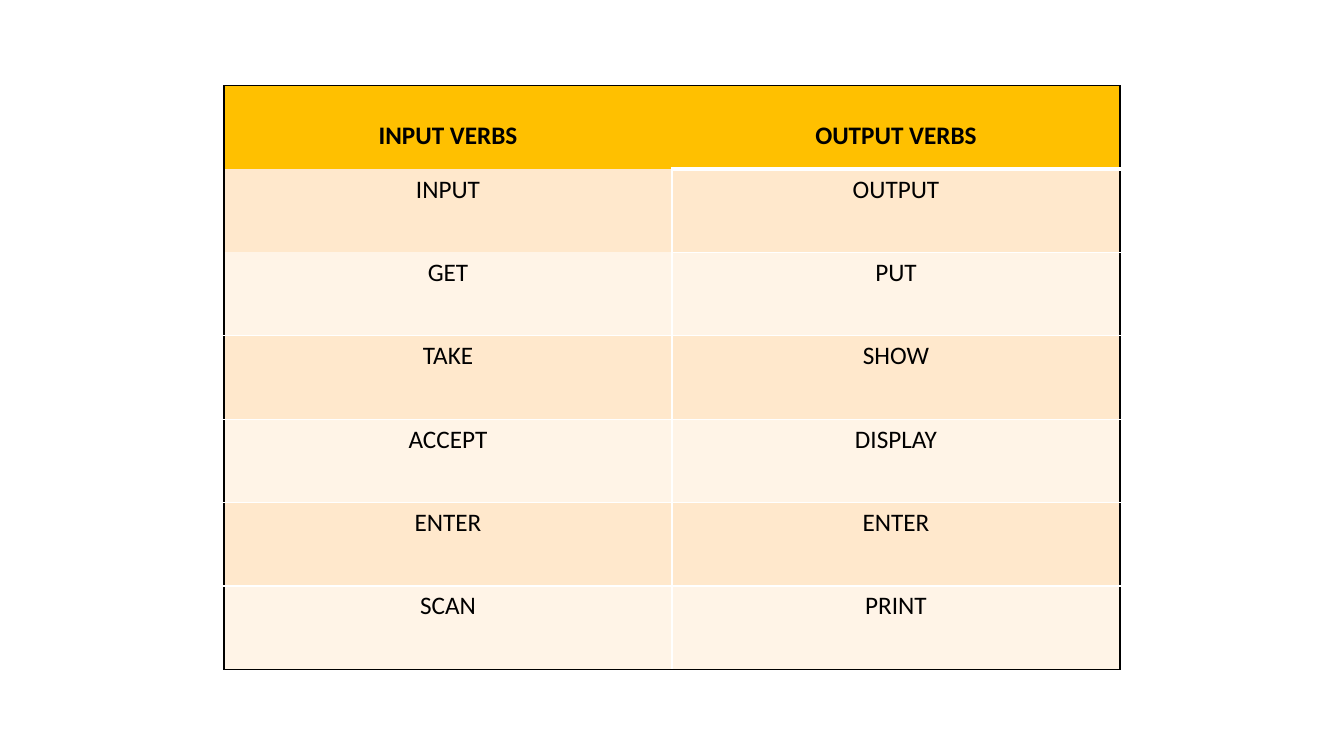
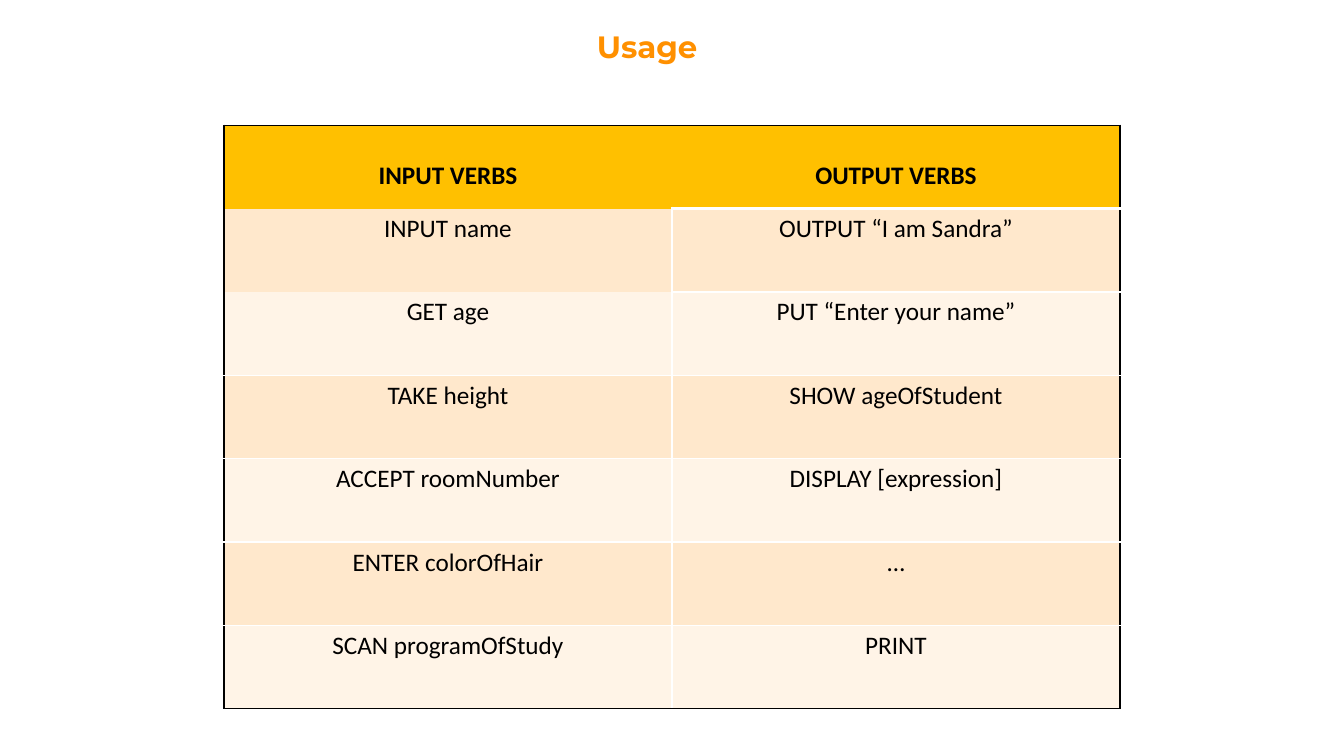
from lxml.etree import SubElement
from pptx import Presentation
from pptx.dml.color import RGBColor
from pptx.enum.text import MSO_AUTO_SIZE as AutoSize, PP_ALIGN as Align
from pptx.oxml.ns import qn
from pptx.util import Inches, Pt

COLORS = {
    "header": "FFC000",
    "odd_row": "FFE8CC",
    "even_row": "FFF4E7",
    "text": "000000",
    "frame": "000000",
    "rule": "FFFFFF",
    "title": "FF9000",
}
GRID_COLUMNS, GRID_ROWS = 12, 18
HEADINGS = ("INPUT VERBS", "OUTPUT VERBS")
VERBS = [
    ("INPUT", "OUTPUT"),
    ("GET", "PUT"),
    ("TAKE", "SHOW"),
    ("ACCEPT", "DISPLAY"),
    ("ENTER", "ENTER"),
    ("SCAN", "PRINT"),
]
USAGE = [
    ("INPUT name", "OUTPUT “I am Sandra”"),
    ("GET age", "PUT “Enter your name”"),
    ("TAKE height", "SHOW ageOfStudent"),
    ("ACCEPT roomNumber", "DISPLAY [expression]"),
    ("ENTER colorOfHair", "…"),
    ("SCAN programOfStudy", "PRINT"),
]


def color(name):
    return RGBColor.from_string(COLORS[name])


def horizontal_rule(row, column):
    """Return the (color, points) of the line above a body row, or None."""
    if column == 0 and row <= 2:
        return None
    return ("rule", 3 if row == 1 else 1)


def cell_borders(row, column, last_row, last_column):
    """Map each edge tag of a cell to (color, points), or None for no line."""
    frame = ("frame", 1)
    divider = ("rule", 1) if row else None
    return {
        "a:lnL": divider if column else frame,
        "a:lnR": frame if column == last_column else divider,
        "a:lnT": horizontal_rule(row, column) if row else frame,
        "a:lnB": frame if row == last_row else horizontal_rule(row + 1, column),
    }


def draw_borders(cell, borders):
    properties = cell._tc.get_or_add_tcPr()
    for tag, border in borders.items():
        line = SubElement(properties, qn(tag))
        if border is None:
            SubElement(line, qn("a:noFill"))
            continue
        name, points = border
        line.set("w", str(Pt(points)))
        fill = SubElement(line, qn("a:solidFill"))
        SubElement(fill, qn("a:srgbClr")).set("val", COLORS[name])


class Deck:
    def __init__(self):
        self.presentation = Presentation()
        self.presentation.slide_width = Inches(13.33)
        self.presentation.slide_height = Inches(7.5)
        self.slide = None

    def add_slide(self):
        blank = self.presentation.slide_layouts[6]
        self.slide = self.presentation.slides.add_slide(blank)

    def place(self, left, top, width, height):
        """Turn grid columns and rows into slide lengths."""
        column = self.presentation.slide_width / GRID_COLUMNS
        row = self.presentation.slide_height / GRID_ROWS
        return (int(left * column), int(top * row),
                int(width * column), int(height * row))

    def style(self, paragraph, font_name, size, color_name, bold):
        for run in paragraph.runs:
            run.font.name = font_name
            run.font.size = Pt(size)
            run.font.bold = bold
            run.font.color.rgb = color(color_name)

    def add_title(self, text):
        box = self.slide.shapes.add_textbox(*self.place(5.24, 0.55, 1.09, 1.13))
        frame = box.text_frame
        frame.text = text
        frame.word_wrap = False
        frame.auto_size = AutoSize.SHAPE_TO_FIT_TEXT
        self.style(frame.paragraphs[0], "Montserrat", 22, "title", True)

    def add_verb_table(self, top, body):
        rows = [HEADINGS, *body]
        area = self.place(2, top, 8, 13.9)
        table = self.slide.shapes.add_table(len(rows), len(HEADINGS), *area).table
        for row, texts in enumerate(rows):
            for column, text in enumerate(texts):
                cell = table.cell(row, column)
                draw_borders(cell, cell_borders(
                    row, column, len(rows) - 1, len(texts) - 1))
                self.fill_cell(cell, row, text)

    def fill_cell(self, cell, row, text):
        is_header = row == 0
        band = "odd_row" if row % 2 else "even_row"
        cell.fill.solid()
        cell.fill.fore_color.rgb = color("header" if is_header else band)
        if is_header:
            cell.margin_top = Inches(0.35)
        cell.text_frame.text = text
        paragraph = cell.text_frame.paragraphs[0]
        paragraph.alignment = Align.CENTER
        self.style(paragraph, "Calibri", 18, "text", is_header)


def main():
    deck = Deck()
    deck.add_slide()
    deck.add_verb_table(2.04, VERBS)
    deck.add_slide()
    deck.add_verb_table(2.98, USAGE)
    deck.add_title("Usage")
    deck.presentation.save("out.pptx")


if __name__ == "__main__":
    main()
